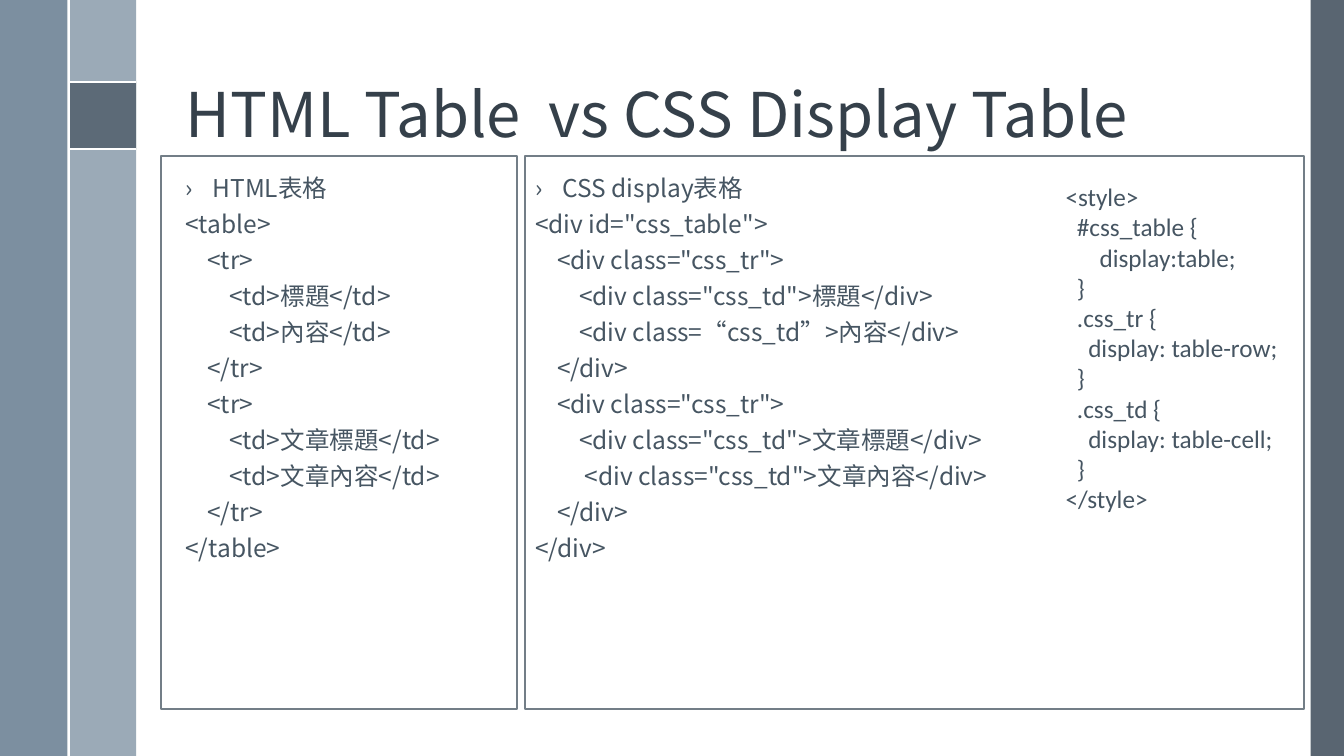
from lxml.etree import SubElement
from pptx import Presentation
from pptx.dml.color import RGBColor
from pptx.enum.shapes import MSO_CONNECTOR, MSO_SHAPE
from pptx.enum.text import MSO_ANCHOR
from pptx.oxml.ns import qn
from pptx.util import Inches, Pt

WHITE = RGBColor(0xFF, 0xFF, 0xFF)
SLATE = RGBColor(0x47, 0x55, 0x62)
BLUE_GRAY = RGBColor(0x6A, 0x80, 0x93)
PALE = RGBColor(0x9B, 0xAA, 0xB7)
FRAME = RGBColor(0x73, 0x7E, 0x87)
TITLE = RGBColor(0x35, 0x40, 0x4A)
BODY = RGBColor(0x46, 0x55, 0x62)
CJK = "Noto Sans CJK TC"

W, H = 13.33, 7.5
COL = 0.67
BAND_X = 0.68
BAND_Y = 0.81
FRAME_Y, FRAME_H = 1.55, 5.48
LEFT_X, RIGHT_X, STYLE_X = 1.6, 5.21, 10.47
RIGHT_END = 12.93
TEXT_X, TEXT_Y = 1.74, 1.75

prs = Presentation()
prs.slide_width, prs.slide_height = Inches(W), Inches(H)
s = prs.slides.add_slide(prs.slide_layouts[6])


def add_box(x, y, w, h, fill=None, opacity=100):
    sp = s.shapes.add_shape(MSO_SHAPE.RECTANGLE, Inches(x), Inches(y), Inches(w), Inches(h))
    sp.shadow.inherit = False
    if fill is None:
        sp.fill.background()
        sp.line.color.rgb = FRAME
        sp.line.width = Pt(1.5)
        return
    sp.fill.solid()
    sp.fill.fore_color.rgb = fill
    sp.line.fill.background()
    if opacity < 100:
        color = sp.fill._xPr.find(qn("a:solidFill"))[0]
        SubElement(color, qn("a:alpha")).set("val", str(opacity * 1000))


def add_text(x, y, w, h, lines, size, color, font, spacing=1.0, before=0, bullet=False):
    tf = s.shapes.add_textbox(Inches(x), Inches(y), Inches(w), Inches(h)).text_frame
    tf.word_wrap = True
    for i, line in enumerate(lines):
        p = tf.paragraphs[0] if i == 0 else tf.add_paragraph()
        p.line_spacing = spacing
        if i > 0:
            p.space_before = Pt(before)
        elif bullet:
            pPr = p._p.get_or_add_pPr()
            pPr.set("marL", str(Inches(0.27)))
            pPr.set("indent", str(-Inches(0.27)))
            SubElement(pPr, qn("a:buFont")).set("typeface", font)
            SubElement(pPr, qn("a:buChar")).set("char", "›")
        r = p.add_run()
        r.text = line
        r.font.size = Pt(size)
        r.font.name = font
        r.font.color.rgb = color
        SubElement(r._r.get_or_add_rPr(), qn("a:ea")).set("typeface", font)
    return tf


for x, y, w, h, fill, opacity in [
    (13, 0, W - 13, H, SLATE, 90),
    (BAND_X, 0, COL, H, PALE, 100),
    (0, 0, COL, H, BLUE_GRAY, 88),
    (BAND_X, BAND_Y, COL, COL, SLATE, 75),
]:
    add_box(x, y, w, h, fill, opacity)

for x1, y1, x2, y2 in [
    (BAND_X, BAND_Y, BAND_X + COL, BAND_Y),
    (BAND_X, BAND_Y + COL, BAND_X + COL, BAND_Y + COL),
    (BAND_X, 0, BAND_X, H),
]:
    line = s.shapes.add_connector(MSO_CONNECTOR.STRAIGHT, Inches(x1), Inches(y1), Inches(x2), Inches(y2))
    line.line.color.rgb = WHITE
    line.line.width = Pt(1.5)
    SubElement(line._element.spPr, qn("a:effectLst"))

tf = add_text(TEXT_X, 0.19, 10.7, 1.36, ["HTML Table  vs CSS Display Table"], 44, TITLE, CJK, 0.9)
tf.vertical_anchor = MSO_ANCHOR.BOTTOM

html_lines = [
    "HTML表格",
    "<table>",
    "    <tr>",
    "        <td>標題</td>",
    "        <td>內容</td>",
    "    </tr>",
    "    <tr>",
    "        <td>文章標題</td>",
    "        <td>文章內容</td>",
    "    </tr>",
    "</table>",
]
css_lines = [
    "CSS display表格",
    '<div id="css_table">',
    '    <div class="css_tr">',
    '        <div class="css_td">標題</div>',
    "        <div class=“css_td”>內容</div>",
    "    </div>",
    '    <div class="css_tr">',
    '        <div class="css_td">文章標題</div>',
    '         <div class="css_td">文章內容</div>',
    "    </div>",
    "</div>",
]
style_lines = [
    "<style>",
    "  #css_table {",
    "      display:table;",
    "  }",
    "  .css_tr {",
    "    display: table-row;",
    "  }",
    "  .css_td {",
    "    display: table-cell;",
    "  }",
    "</style>",
]

for x, w, lines in [(TEXT_X, 3.39, html_lines), (RIGHT_X, STYLE_X - RIGHT_X, css_lines)]:
    add_text(x, TEXT_Y, w, 5, lines, 17.5, BODY, CJK, 0.7, 11, True)
add_text(STYLE_X, TEXT_Y, RIGHT_END - STYLE_X, 3.43, style_lines, 18, BODY, "Calibri")

for x, w in [(LEFT_X, 3.53), (RIGHT_X, RIGHT_END - RIGHT_X)]:
    add_box(x, FRAME_Y, w, FRAME_H)

prs.save("out.pptx")
